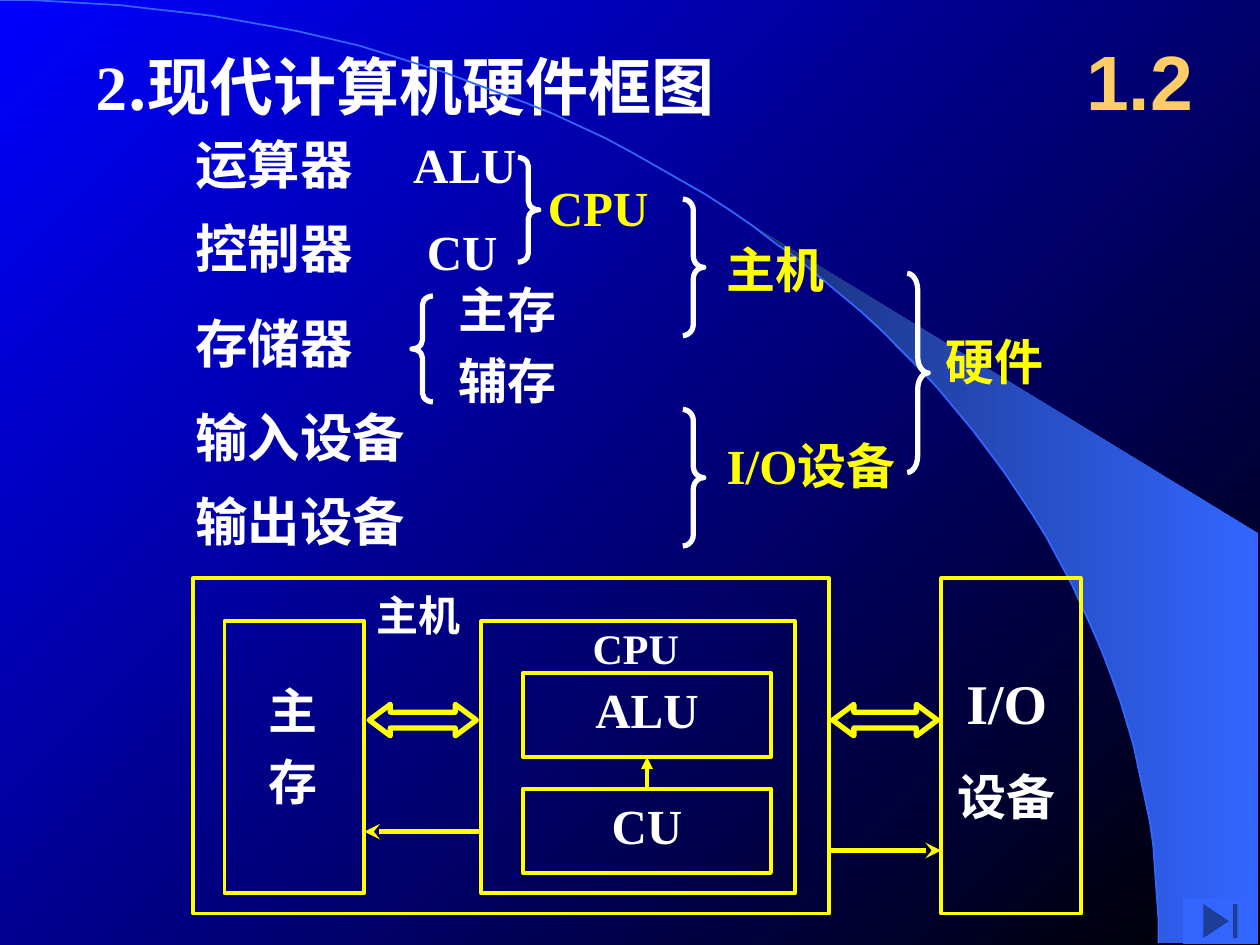
from math import asin, cos, pi, sin

from lxml.etree import SubElement
from pptx import Presentation
from pptx.dml.color import RGBColor
from pptx.enum.shapes import MSO_CONNECTOR, MSO_SHAPE
from pptx.enum.text import MSO_ANCHOR, MSO_AUTO_SIZE, PP_ALIGN
from pptx.oxml.ns import qn
from pptx.util import Pt

WIDTH, HEIGHT = 720, 540
WHITE, YELLOW, BLUE = "FFFFFF", "FFFF00", "3366FF"
SERIF, SANS, CJK = "Times New Roman", "Arial", "Noto Sans CJK SC"


def color(hex_string):
    return RGBColor.from_string(hex_string)


def set_gradient(fill, start, end, angle):
    fill.gradient()
    fill.gradient_angle = angle
    for stop, shade, position in zip(fill.gradient_stops, (start, end), (0, 1)):
        stop.color.rgb = color(shade)
        stop.position = position


def set_line(line, shade, width):
    line.color.rgb = color(shade)
    line.width = Pt(width)


def write(frame, paragraphs, shade=WHITE, align=PP_ALIGN.LEFT, wrap=False,
          inset=(7.2, 3.6), anchor=MSO_ANCHOR.TOP):
    """Each paragraph is (space before, [(text, size, font), ...])."""
    frame.auto_size = MSO_AUTO_SIZE.NONE
    frame.word_wrap = wrap
    frame.vertical_anchor = anchor
    frame.margin_left = frame.margin_right = Pt(inset[0])
    frame.margin_top = frame.margin_bottom = Pt(inset[1])
    for index, (space, runs) in enumerate(paragraphs):
        paragraph = frame.add_paragraph() if index else frame.paragraphs[0]
        paragraph.alignment = align
        paragraph.space_before = Pt(space)
        for text, size, face in runs:
            run = paragraph.add_run()
            run.text = text
            run.font.size, run.font.name, run.font.bold = Pt(size), face, True
            run.font.color.rgb = color(shade)
            SubElement(run.font._element, qn("a:ea"), typeface=CJK)


def add_label(slide, box, paragraphs, **style):
    label = slide.shapes.add_textbox(*map(Pt, box))
    write(label.text_frame, paragraphs, **style)


def add_outline(slide, kind, box, shade, width):
    outline = slide.shapes.add_shape(kind, *map(Pt, box))
    outline.shadow.inherit = False
    outline.fill.background()
    set_line(outline.line, shade, width)
    return outline


def add_arrow(slide, start, end, head, width):
    arrow = slide.shapes.add_connector(MSO_CONNECTOR.STRAIGHT, *map(Pt, start + end))
    set_line(arrow.line, YELLOW, width)
    SubElement(arrow.line._get_or_add_ln(), qn("a:tailEnd"), type=head)
    SubElement(arrow._element.spPr, qn("a:effectLst"))
    return arrow


def add_backdrop(slide, box):
    left, top, width, height = box
    set_gradient(slide.background.fill, "0000FF", "000000", 315)
    radius_x, radius_y, steps = 662.4, height, 60

    def curve(first):
        angles = [first + (pi / 2 - first) * i / steps for i in range(steps + 1)]
        return [(left + radius_x * sin(a), top + radius_y * (1 - cos(a))) for a in angles]

    def polygon(points, close):
        builder = slide.shapes.build_freeform(*points[0], scale=Pt(1))
        builder.add_line_segments(points[1:], close=close)
        outline = builder.convert_to_shape()
        outline.shadow.inherit = False
        return outline

    # Shaded band outside the arc, then the arc itself
    right, bottom = left + width, top + height
    band = polygon(curve(asin(424 / radius_x)) + [(right, bottom), (right, 304.6)], True)
    set_gradient(band.fill, "182F76", BLUE, 0)
    band.line.fill.background()
    arc = polygon(curve(0), False)
    arc.fill.background()
    set_line(arc.line, BLUE, 1)


def add_heading(slide, box):
    left, top, width, height = box
    title = slide.shapes.title
    title.left, title.top = Pt(left), Pt(top)
    title.width, title.height = Pt(456.5), Pt(50.4)
    write(title.text_frame, [(9, [("2", 36, SERIF), (".现代计算机硬件框图", 36, CJK)])],
          wrap=True)
    # Section number at the right end
    add_label(slide, (left + width - 90, 12.2, 90, height), [(0, [("1.2", 44, SANS)])],
              shade="FFCC66", align=PP_ALIGN.CENTER, wrap=True, anchor=MSO_ANCHOR.MIDDLE)


def add_classification(slide, box):
    left, top = box[:2]

    # Five basic components
    components = [("运算器", 0), ("控制器", 48.2), ("存储器", 102.2),
                  ("输入设备", 156.2), ("输出设备", 203.8)]
    for name, y in components:
        add_label(slide, (left, top + y, 220, 43.2), [(7.5, [(name, 30, CJK)])], wrap=True)

    # Parts and the groups they form
    groups = [
        (["ALU"], SERIF, WHITE, 124.6, 1.4, 73.4),
        (["CU"], SERIF, WHITE, 132.5, 51.1, 54.7),
        (["主存", "辅存"], CJK, WHITE, 150.5, 84.2, 69.8),
        (["CPU"], SERIF, YELLOW, 201.6, 25.9, 72),
        (["主机"], CJK, YELLOW, 303.8, 61.2, 69.8),
        (["I/O设备"], SERIF, YELLOW, 303.8, 173.5, 139),
        (["硬件"], CJK, YELLOW, 429.1, 113.8, 69.8),
    ]
    for names, face, shade, x, y, width in groups:
        add_label(slide, (left + x, top + y, width, 41 * len(names)),
                  [(7, [(name, 28, face)]) for name in names], shade=shade)

    # Braces, with corners one twelfth of their height
    braces = [
        (MSO_SHAPE.LEFT_BRACE, 131, 97.2, 60.5),
        (MSO_SHAPE.RIGHT_BRACE, 191.5, 18, 59.8),
        (MSO_SHAPE.RIGHT_BRACE, 285.8, 41.8, 78),
        (MSO_SHAPE.RIGHT_BRACE, 285.8, 162, 78),
        (MSO_SHAPE.RIGHT_BRACE, 414, 84.2, 113.8),
    ]
    for kind, x, y, height in braces:
        brace = add_outline(slide, kind, (left + x, top + y, 12, height), WHITE, 3)
        brace.adjustments[0] = height / 12 / 12


def add_block_diagram(slide, box):
    left, top, _, height = box

    def at(x, y, *size):
        return (left + x, top + y) + size

    def block(x, y, width, tall):
        return add_outline(slide, MSO_SHAPE.RECTANGLE, at(x, y, width, tall), YELLOW, 2.13)

    # Host, main memory, CPU and I/O frames
    for frame in [(0, 0, 363.6, height), (18, 24.5, 79.9, 155.5),
                  (164.8, 24.5, 179.3, 155.5), (427.6, 0, 79.9, height)]:
        block(*frame)

    # ALU and CU inside the CPU
    units = []
    for name, y in [("ALU", 54), ("CU", 120.2)]:
        unit = block(188.6, y, 141.8, 48.2)
        write(unit.text_frame, [(7, [(name, 28, SERIF)])], align=PP_ALIGN.CENTER,
              inset=(7.2, 4))
        units.append(unit)
    alu, cu = units
    control = add_arrow(slide, at(259.5, 120.2), at(259.5, 102.2), "triangle", 2.25)
    control.begin_connect(cu, 0)
    control.end_connect(alu, 2)

    # Frame captions
    add_label(slide, at(228.2, 25.2, 49.7, 28.8), [(6, [("CPU", 24, SERIF)])],
              align=PP_ALIGN.CENTER, inset=(0, 0))
    add_label(slide, at(105.1, 6.5, 48.2, 28.8), [(6, [("主机", 24, CJK)])], inset=(0, 0))
    add_label(slide, at(36, 54.7, 42.5, 81.4),
              [(7, [("主", 28, CJK)]), (7, [("存", 28, CJK)])], align=PP_ALIGN.CENTER)
    add_label(slide, at(426.2, 48.2, 77.8, 97.2),
              [(20, [("I/O", 32, SERIF)]), (17.5, [("设备", 28, SERIF)])],
              align=PP_ALIGN.CENTER, wrap=True)

    # Data paths and control lines
    for x, width in [(100.8, 61.2), (365.7, 59.8)]:
        path = add_outline(slide, MSO_SHAPE.LEFT_RIGHT_ARROW, at(x, 72, width, 18), YELLOW, 3)
        path.adjustments[0], path.adjustments[1] = 0.5, 0.67
    add_arrow(slide, at(164.8, 144.7), at(98, 144.7), "stealth", 3)
    add_arrow(slide, at(363.6, 155.5), at(427.6, 155.5), "stealth", 3)


def add_end_button(slide, box):
    button = slide.shapes.add_shape(MSO_SHAPE.ACTION_BUTTON_END, *map(Pt, box))
    button.shadow.inherit = False
    button.fill.solid()
    button.fill.fore_color.rgb = color(BLUE)
    button.line.fill.background()


def main():
    deck = Presentation()
    deck.slide_width, deck.slide_height = Pt(WIDTH), Pt(HEIGHT)
    slide = deck.slides.add_slide(deck.slide_layouts[5])
    add_backdrop(slide, (0, 0, 719.3, 539.3))
    add_heading(slide, (47.5, 23.8, 648.7, 66.2))
    add_classification(slide, (104.4, 72, 498.9, 247))
    add_block_diagram(slide, (110.2, 330.5, 507.5, 191.5))
    add_end_button(slide, (676.1, 513.4, 42.5, 25.9))
    deck.save("out.pptx")


if __name__ == "__main__":
    main()
